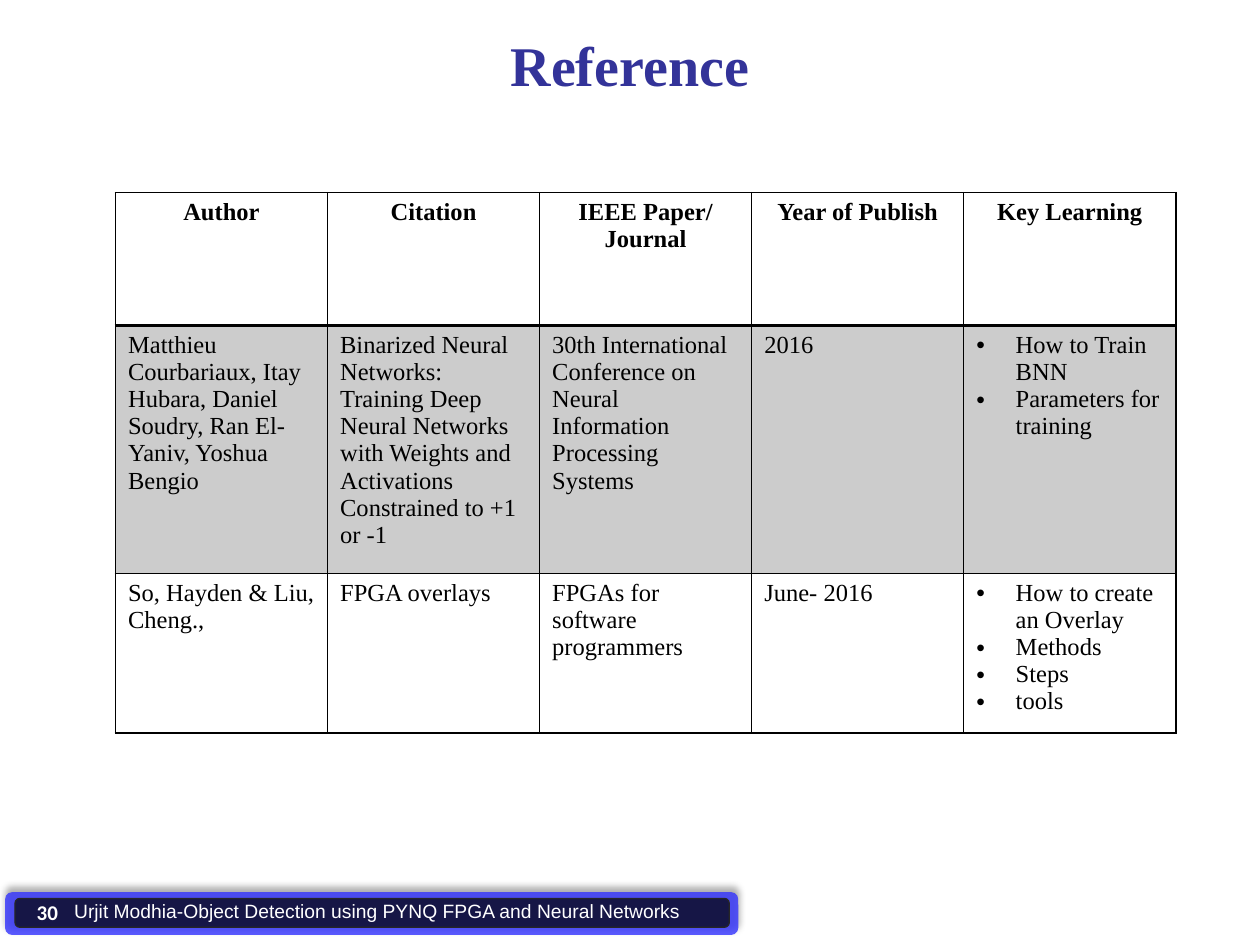
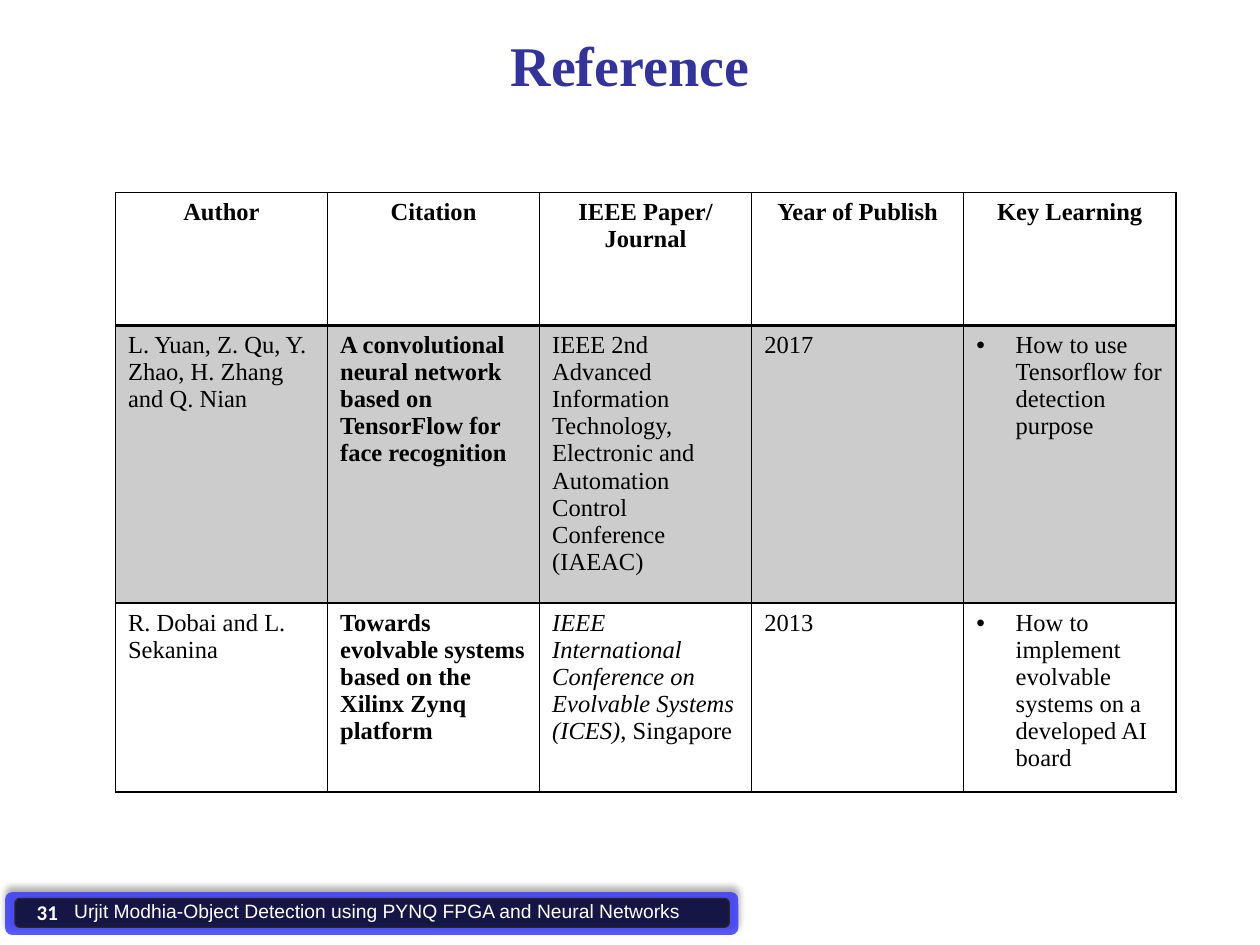
from lxml.etree import SubElement
from pptx import Presentation
from pptx.dml.color import RGBColor
from pptx.enum.shapes import MSO_SHAPE as Shape
from pptx.enum.text import MSO_ANCHOR as Anchor, MSO_AUTO_SIZE as AutoSize, PP_ALIGN as Align
from pptx.oxml.ns import qn
from pptx.util import Pt

NAVY = RGBColor(0x33, 0x33, 0x99)
BLUE = RGBColor(0x33, 0x33, 0xFF)
BLACK = RGBColor(0, 0, 0)
CHARCOAL = RGBColor(0x26, 0x26, 0x26)
WHITE = RGBColor(0xFF, 0xFF, 0xFF)

SERIF = "Times New Roman"
FOOTER = "Urjit Modhia-Object Detection using PYNQ FPGA and Neural Networks"
HEADINGS = ["Author", "Citation", "IEEE Paper/\nJournal", "Year of Publish", "Key Learning"]
COLUMN_WIDTH = 121.2
ROW_HEIGHTS = [76, 78, 78]
BULLET_INDENT = 22.5

# Each reference: author, citation, venue, year, key learnings.
# A cell is a string or a list of (text, style) parts, with style "b", "i" or "".
SLIDES = {
    30: [
        ["Matthieu Courbariaux, Itay Hubara, Daniel Soudry, Ran El-Yaniv, Yoshua Bengio",
         "Binarized Neural Networks: Training Deep Neural Networks with Weights "
         "and Activations Constrained to +1 or -1",
         "30th International Conference on Neural Information Processing Systems",
         "2016",
         "How to Train BNN\nParameters for training"],
        ["So, Hayden & Liu, Cheng.,",
         "FPGA overlays",
         "FPGAs for software programmers",
         "June- 2016",
         "How to create an Overlay\nMethods\nSteps\ntools"],
    ],
    31: [
        ["L. Yuan, Z. Qu, Y. Zhao, H. Zhang and Q. Nian",
         [("A convolutional neural network based on TensorFlow for face recognition", "b")],
         "IEEE 2nd Advanced Information Technology, Electronic and Automation "
         "Control Conference (IAEAC)",
         "2017",
         "How to use Tensorflow for detection purpose"],
        ["R. Dobai and L. Sekanina",
         [("Towards evolvable systems based on the Xilinx Zynq platform", "b")],
         [("IEEE International Conference on Evolvable Systems (ICES)", "i"),
          (", Singapore", "")],
         "2013",
         "How to implement evolvable systems on a developed AI board"],
    ],
}


def fill_with(fill, color, opacity):
    fill.solid()
    fill.fore_color.rgb = color
    color_node = fill._xPr.find(qn("a:solidFill"))[0]
    SubElement(color_node, qn("a:alpha"), val=str(opacity * 1000))


def format_run(run, size, color, font, bold=False, italic=False):
    run.font.size = Pt(size)
    run.font.color.rgb = color
    run.font.name = font
    run.font.bold = bold
    run.font.italic = italic


class Deck:
    def __init__(self):
        self.prs = Presentation()
        self.prs.slide_width, self.prs.slide_height = Pt(720), Pt(540)
        self.slide = None

    def new_slide(self, title):
        self.slide = self.prs.slides.add_slide(self.prs.slide_layouts[5])
        heading = self.slide.shapes.title
        heading.left, heading.top, heading.width, heading.height = Pt(36), Pt(13.7), Pt(648), Pt(90)
        frame = heading.text_frame
        frame.text = title
        frame.vertical_anchor = Anchor.TOP
        frame.auto_size = AutoSize.NONE
        frame.paragraphs[0].alignment = Align.CENTER
        format_run(frame.paragraphs[0].runs[0], 32, NAVY, SERIF, bold=True)

    def band(self, left, top, width, height, color, opacity, outline=None):
        band = self.slide.shapes.add_shape(
            Shape.ROUNDED_RECTANGLE, Pt(left), Pt(top), Pt(width), Pt(height))
        band.shadow.inherit = False
        fill_with(band.fill, color, opacity)
        if outline:
            band.line.color.rgb = outline
            band.line.width = Pt(0.75)
        else:
            band.line.fill.background()
        return band

    def upward_shadow(self, band):
        effects = band._element.spPr.find(qn("a:effectLst"))
        shadow = SubElement(effects, qn("a:outerShdw"), blurRad=str(Pt(4)), dist=str(Pt(3)),
                            dir="16200000", algn="b", rotWithShape="0")
        black = SubElement(shadow, qn("a:srgbClr"), val=str(BLACK))
        SubElement(black, qn("a:alpha"), val="40000")

    def label(self, text, left, top, width, height, size, font, bold=False):
        box = self.slide.shapes.add_textbox(Pt(left), Pt(top), Pt(width), Pt(height))
        frame = box.text_frame
        frame.word_wrap = True
        frame.text = text
        format_run(frame.paragraphs[0].runs[0], size, WHITE, font, bold)
        return frame

    def footer(self, number):
        self.upward_shadow(self.band(2.9, 509.8, 419, 24.5, BLUE, 80))
        self.band(8.6, 513.4, 408.2, 16.5, BLACK, 70, CHARCOAL)
        page = self.label(str(number), 5.8, 509, 42.5, 24.5, 12, "Calibri", bold=True)
        page.vertical_anchor = Anchor.MIDDLE
        page.paragraphs[0].alignment = Align.CENTER
        self.label(FOOTER, 35.3, 510.5, 422.6, 31.7, 11, "Arial")

    def table(self, references):
        rows = [HEADINGS] + references
        table = self.slide.shapes.add_table(
            len(rows), len(HEADINGS), Pt(66), Pt(110),
            Pt(COLUMN_WIDTH * len(HEADINGS)), Pt(sum(ROW_HEIGHTS))).table
        table.first_row = table.horz_banding = False
        for column in table.columns:
            column.width = Pt(COLUMN_WIDTH)
        for r, (row, height) in enumerate(zip(rows, ROW_HEIGHTS)):
            table.rows[r].height = Pt(height)
            for c, content in enumerate(row):
                cell = table.cell(r, c)
                self.cell_text(cell, content, r == 0)
                self.cell_borders(cell, top=2 if r == 1 else 1, bottom=2 if r == 0 else 1)
                if r == 1:
                    fill_with(cell.fill, BLACK, 20)
                else:
                    cell.fill.background()
                if r and c == len(HEADINGS) - 1:
                    self.bullets(cell)

    def cell_text(self, cell, content, is_heading):
        parts = [(content, "b" if is_heading else "")] if isinstance(content, str) else content
        frame = cell.text_frame
        frame.text = parts[0][0]
        for text, _ in parts[1:]:
            frame.paragraphs[0].add_run().text = text
        for paragraph in frame.paragraphs:
            paragraph.alignment = Align.CENTER if is_heading else Align.LEFT
            for i, run in enumerate(paragraph.runs):
                style = parts[i][1]
                format_run(run, 14, BLACK, SERIF, style == "b", style == "i")

    def cell_borders(self, cell, top, bottom):
        properties = cell._tc.get_or_add_tcPr()
        for side, width in (("L", 1), ("R", 1), ("T", top), ("B", bottom)):
            border = SubElement(properties, qn(f"a:ln{side}"), w=str(Pt(width)))
            SubElement(SubElement(border, qn("a:solidFill")), qn("a:srgbClr"), val=str(BLACK))

    def bullets(self, cell):
        for paragraph in cell.text_frame.paragraphs:
            properties = paragraph._p.get_or_add_pPr()
            properties.set("marL", str(Pt(BULLET_INDENT)))
            properties.set("indent", str(-Pt(BULLET_INDENT)))
            SubElement(properties, qn("a:buFont"), typeface="Arial")
            SubElement(properties, qn("a:buChar"), char="•")


def main():
    deck = Deck()
    for number, references in SLIDES.items():
        deck.new_slide("Reference")
        deck.footer(number)
        deck.table(references)
    deck.prs.save("out.pptx")


if __name__ == "__main__":
    main()
